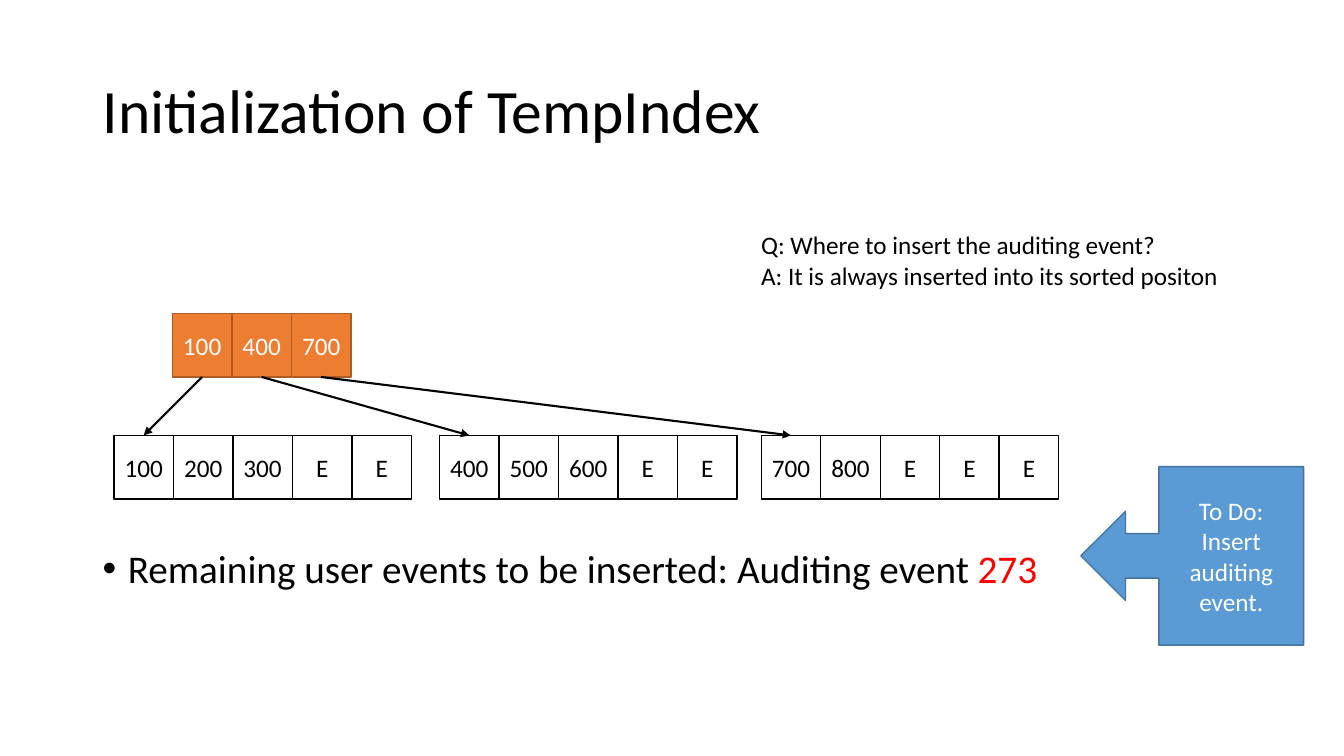
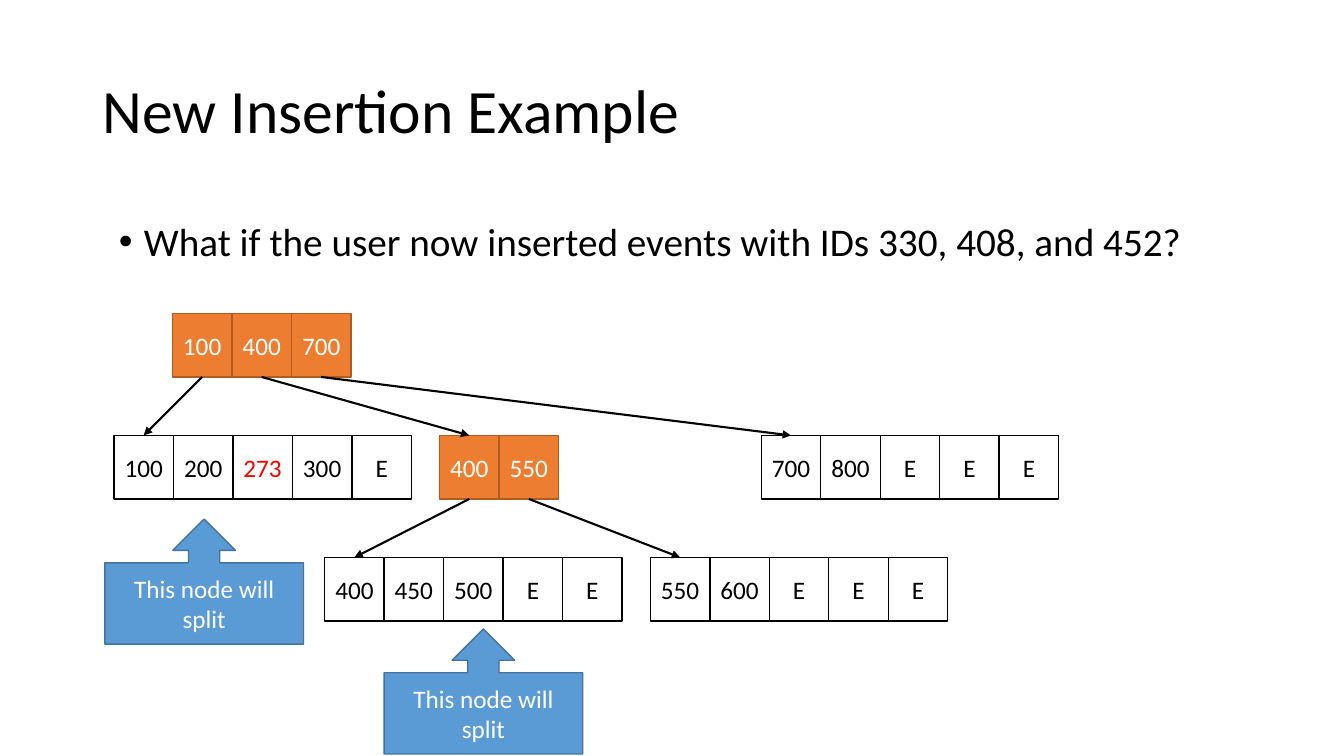
from lxml import etree
from pptx import Presentation, util as u
from pptx.dml.color import RGBColor
from pptx.enum import shapes, text
from pptx.oxml.ns import qn

BLACK = RGBColor(0x00, 0x00, 0x00)
WHITE = RGBColor(0xFF, 0xFF, 0xFF)
RED = RGBColor(0xFF, 0x00, 0x00)
ORANGE = RGBColor(0xED, 0x7D, 0x31)
RUST = RGBColor(0xAF, 0x5C, 0x24)
BLUE = RGBColor(0x5B, 0x9B, 0xD5)
NAVY = RGBColor(0x43, 0x73, 0x9E)

WIDE, HIGH = 13.33, 7.5
CELL_W, CELL_H = 0.59, 0.63
ROWS = [3.11 + 1.21 * row for row in range(3)]
LEFT, SPAN = 0.92, 11.5

KINDS = shapes.MSO_SHAPE
LOOKS = {"leaf": (WHITE, BLACK, BLACK), "index": (ORANGE, RUST, WHITE),
         "note": (BLUE, NAVY, WHITE)}
TITLE = {"size": 44, "anchor": text.MSO_ANCHOR.MIDDLE, "spacing": 0.9}
BULLET = {"size": 28, "spacing": 0.9, "bullet": True}
LABEL = {"anchor": text.MSO_ANCHOR.MIDDLE, "align": text.PP_ALIGN.CENTER}

# Each node: name, look, left, row, keys
ROOT = ("root", "index", 1.71, 0, "100 400 700")
LAST = ("right", "leaf", 7.55, 1, "700 800 E E E")
# Each link: parent, cell in parent, child
LINKS = [("root", 0, "left"), ("root", 1, "mid"), ("root", 2, "right")]
SPLIT = "This node will split"

PAGES = [
    {"title": "Initialization of TempIndex",
     "bullet": (LEFT, 5.4, [("Remaining user events to be inserted: Auditing event ", BLACK),
                            ("273", RED)]),
     "nodes": [ROOT, LAST,
               ("left", "leaf", 1.13, 1, "100 200 300 E E"),
               ("mid", "leaf", 4.36, 1, "400 500 600 E E")],
     "links": LINKS,
     "notes": [(KINDS.LEFT_ARROW_CALLOUT, (10.72, 4.63, 2.21, 1.77),
                "To Do: Insert auditing event.")],
     "answer": ["Q: Where to insert the auditing event?",
                "A: It is always inserted into its sorted positon"]},
    {"title": "New Insertion Example",
     "bullet": (1.08, 2.16, [("What if the user now inserted events with IDs "
                              "330, 408, and 452?", BLACK)]),
     "nodes": [ROOT, LAST,
               ("left", "leaf", 1.13, 1, "100 200 273 300 E"),
               ("mid", "index", 4.36, 1, "400 550"),
               ("low", "leaf", 3.22, 2, "400 450 500 E E"),
               ("high", "leaf", 6.45, 2, "550 600 E E E")],
     "links": LINKS + [("mid", 0, "low"), ("mid", 1, "high")],
     "notes": [(KINDS.UP_ARROW_CALLOUT, (1.04, 5.15, 1.97, 1.24), SPLIT),
               (KINDS.UP_ARROW_CALLOUT, (3.81, 6.24, 1.97, 1.24), SPLIT)],
     "answer": []},
]


def write(shape, paras, size=18, anchor=text.MSO_ANCHOR.TOP, align=text.PP_ALIGN.LEFT,
          spacing=1.0, bullet=False, wrap=True):
    """Fill a shape with paragraphs, each a list of (words, colour) runs."""
    frame = shape.text_frame
    frame.word_wrap, frame.vertical_anchor = wrap, anchor
    for num, runs in enumerate(paras):
        para = frame.add_paragraph() if num else frame.paragraphs[0]
        para.alignment, para.line_spacing = align, spacing
        if bullet:
            props = para._p.get_or_add_pPr()
            props.set("marL", str(u.Inches(0.25)))
            props.set("indent", str(-u.Inches(0.25)))
            etree.SubElement(props, qn("a:buFont")).set("typeface", "Arial")
            etree.SubElement(props, qn("a:buChar")).set("char", "•")
        for words, color in runs:
            run = para.add_run()
            run.text = words
            for key, value in {"name": "Calibri", "size": u.Pt(size)}.items():
                setattr(run.font, key, value)
            run.font.color.rgb = color


def block(slide, kind, box, look, words, color=None):
    fill, edge, ink = LOOKS[look]
    shape = slide.shapes.add_shape(kind, *map(u.Inches, box))
    shape.shadow.inherit = False
    shape.fill.solid()
    shape.fill.fore_color.rgb = fill
    shape.line.color.rgb, shape.line.width = edge, u.Pt(1)
    write(shape, [[(words, color or ink)]], **LABEL)


deck = Presentation()
deck.slide_width, deck.slide_height = u.Inches(WIDE), u.Inches(HIGH)

for page in PAGES:
    slide = deck.slides.add_slide(deck.slide_layouts[6])
    left, top, runs = page["bullet"]
    texts = [((LEFT, 0.4, SPAN, 1.45), [[(page["title"], BLACK)]], TITLE),
             ((left, top, SPAN, 0.6), [runs], BULLET)]
    if page["answer"]:
        texts.append(((7.45, 2.23, 4.91, 0.71),
                      [[(line, BLACK)] for line in page["answer"]], {"wrap": False}))
    for box, paras, style in texts:
        write(slide.shapes.add_textbox(*map(u.Inches, box)), paras, **style)

    spots = {}
    for name, look, left, row, keys in page["nodes"]:
        spots[name] = left, ROWS[row]
        for col, key in enumerate(keys.split()):
            box = left + col * CELL_W, ROWS[row], CELL_W, CELL_H
            block(slide, KINDS.RECTANGLE, box, look, key, RED if key == "273" else None)

    for parent, col, child in page["links"]:
        (x1, y1), (x2, y2) = spots[parent], spots[child]
        ends = x1 + (col + 0.5) * CELL_W, y1 + CELL_H, x2 + CELL_W / 2, y2
        arrow = slide.shapes.add_connector(shapes.MSO_CONNECTOR.STRAIGHT,
                                           *map(u.Inches, ends))
        arrow.line.color.rgb, arrow.line.width = BLACK, u.Pt(1.5)
        etree.SubElement(arrow.line._get_or_add_ln(), qn("a:tailEnd")).set("type", "triangle")
        etree.SubElement(arrow._element.spPr, qn("a:effectLst"))

    for kind, box, words in page["notes"]:
        block(slide, kind, box, "note", words)

deck.save("out.pptx")
